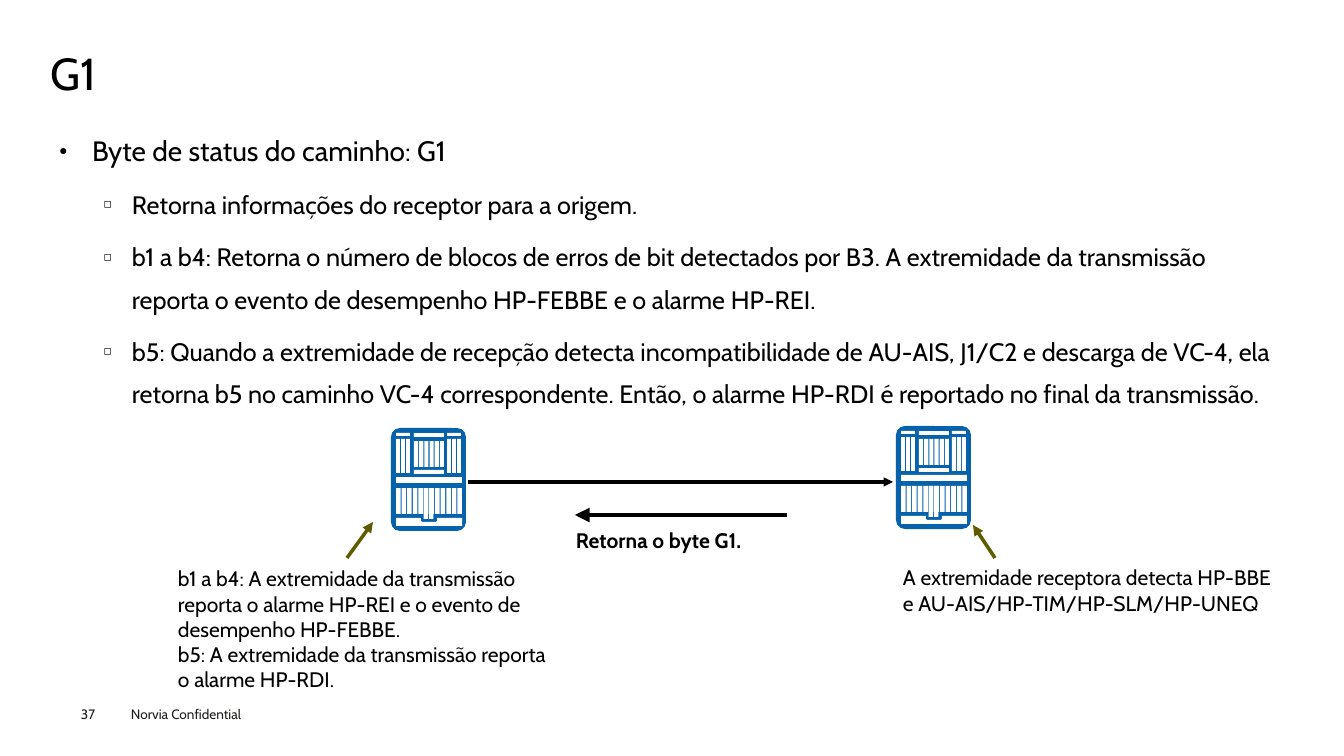
from lxml.etree import SubElement
from pptx import Presentation
from pptx.dml.color import RGBColor
from pptx.enum.shapes import MSO_CONNECTOR as Connector, MSO_SHAPE as Shape
from pptx.enum.text import MSO_ANCHOR as Anchor, MSO_AUTO_SIZE as AutoSize, PP_ALIGN as Align
from pptx.oxml.ns import qn
from pptx.util import Pt

BLACK = RGBColor(0x00, 0x00, 0x00)
GREY = RGBColor(0x1D, 0x1D, 0x1B)
WHITE = RGBColor(0xFF, 0xFF, 0xFF)
BLUE = RGBColor(0x06, 0x62, 0xAA)
OLIVE = RGBColor(0x5E, 0x5C, 0x00)

FONT = "Cabin"
PX = 914400 / 100.8
SLIDE_SIZE = (1344, 756)

TITLE = "G1"
TITLE_BOX = (50, 49, 1245, 54)
BODY_BOX = (50, 116, 1245, 537)
BODY = [
    (0, "Byte de status do caminho: G1"),
    (1, "Retorna informações do receptor para a origem."),
    (1, "b1 a b4: Retorna o número de blocos de erros de bit detectados por B3. "
        "A extremidade da transmissão reporta o evento de desempenho HP-FEBBE e o alarme HP-REI."),
    (1, "b5: Quando a extremidade de recepção detecta incompatibilidade de AU-AIS, J1/C2 e "
        "descarga de VC-4, ela retorna b5 no caminho VC-4 correspondente. Então, o alarme "
        "HP-RDI é reportado no final da transmissão."),
]
# level: text size, left margin px, hanging px, space before, bullet, alignment
LEVELS = {
    0: (20, 33, 33, 0, "●", Align.JUSTIFY),
    1: (18, 73, 28, 7.2, "◻", Align.LEFT),
}

NOTE = {"size": Pt(15), "name": FONT}
SMALL = {"size": Pt(9.7), "name": FONT}
LABELS = [  # box, paragraphs, font, colour, inset px (left/right, top/bottom)
    ((121, 701, 161, 27), ["Norvia Confidential"], SMALL, GREY, (10, 5)),
    ((81, 706, 55, 16), ["37"], SMALL, GREY, (0, 0)),
    ((168, 561, 398, 86),
     ["b1 a b4: A extremidade da transmissão reporta o alarme HP-REI e o evento de "
      "desempenho HP-FEBBE.",
      "b5: A extremidade da transmissão reporta o alarme HP-RDI."], NOTE, BLACK, (10, 5)),
    ((893, 560, 402, 86),
     ["A extremidade receptora detecta HP-BBE e AU-AIS/HP-TIM/HP-SLM/HP-UNEQ"],
     NOTE, BLACK, (10, 5)),
    ((566, 523, 249, 35), ["Retorna o byte G1."], {**NOTE, "bold": True}, BLACK, (10, 5)),
]
ARROWS = [  # from, to, colour, width
    ((347, 558), (373, 522), OLIVE, 2.5),
    ((995, 558), (973, 525), OLIVE, 2.5),
    ((787, 515), (575, 515), BLACK, 3.5),
    ((468, 482), (893, 482), BLACK, 2.25),
]

# Network node, in px from its own top left corner
NODES = [(391, 428), (896, 426)]
NODE_SIZE = (75, 103)
NODE_BARS = [(5, 5, 14, 3), (23, 5, 30, 4), (56, 5, 14, 3), (23, 42, 30, 4), (5, 49, 66, 6)]
SLAT_ROWS = [  # left, top, width, height, number of slats
    (5, 11, 14, 34, 3),
    (23, 13, 30, 26, 6),
    (56, 11, 14, 34, 3),
    (5, 60, 66, 26, 12),
]
SLAT_GAP = 1
LONG_SLATS = (27, 60, 21, 31, 4)
NODE_FOOT = [(5, 90), (30, 90), (30, 93), (31, 94), (45, 94), (46, 93), (46, 90),
             (71, 90), (71, 98), (5, 98)]


def emu(*lengths):
    return [round(length * PX) for length in lengths]


def place(shape, box):
    shape.left, shape.top, shape.width, shape.height = emu(*box)


def write(para, text, font, color):
    span = para.add_run()
    span.text = text
    for key, value in font.items():
        setattr(span.font, key, value)
    span.font.color.rgb = color


def set_frame(frame, inset, **values):
    side, edge = emu(*inset)
    formats = {"margin_left": side, "margin_right": side, "margin_top": edge,
               "margin_bottom": edge, "word_wrap": True, **values}
    for key, value in formats.items():
        setattr(frame, key, value)


def paragraphs(frame, count):
    return [frame.paragraphs[0]] + [frame.add_paragraph() for _ in range(count - 1)]


def fill_title(title):
    place(title, TITLE_BOX)
    set_frame(title.text_frame, (0, 0), auto_size=AutoSize.NONE, vertical_anchor=Anchor.MIDDLE)
    para = title.text_frame.paragraphs[0]
    para.alignment, para.line_spacing = Align.LEFT, 0.9
    write(para, TITLE, {"size": Pt(32), "name": FONT}, BLACK)


def fill_body(body):
    place(body, BODY_BOX)
    frame = body.text_frame
    set_frame(frame, (9, 4), auto_size=AutoSize.NONE, vertical_anchor=Anchor.TOP)
    for para, (level, text) in zip(paragraphs(frame, len(BODY)), BODY):
        size, margin, hanging, before, bullet, align = LEVELS[level]
        properties = para._p.get_or_add_pPr()
        left, indent = emu(margin, -hanging)
        properties.set("marL", str(left))
        properties.set("indent", str(indent))
        SubElement(properties, qn("a:buSzPct")).set("val", "50000")
        SubElement(properties, qn("a:buFont")).set("typeface", "Arial")
        SubElement(properties, qn("a:buChar")).set("char", bullet)
        para.level, para.alignment = level, align
        para.line_spacing, para.space_before = 1.4, Pt(before)
        write(para, text, {"size": Pt(size), "name": FONT}, BLACK)


def add_label(shapes, box, texts, font, color, inset):
    frame = shapes.add_textbox(*emu(*box)).text_frame
    set_frame(frame, inset)
    for para, text in zip(paragraphs(frame, len(texts)), texts):
        write(para, text, font, color)


def add_arrow(shapes, start, end, color, width):
    arrow = shapes.add_connector(Connector.STRAIGHT, *emu(*start, *end))
    arrow.line.color.rgb = color
    arrow.line.width = Pt(width)
    properties = arrow._element.spPr
    SubElement(properties.find(qn("a:ln")), qn("a:tailEnd")).set("type", "triangle")
    SubElement(properties, qn("a:effectLst"))


def paint(shape, color):
    shape.shadow.inherit = False
    shape.fill.solid()
    shape.fill.fore_color.rgb = color
    shape.line.fill.background()


def slats(left, top, width, height, count):
    """Split a row into equal boxes with SLAT_GAP between them."""
    pitch = (width + SLAT_GAP) / count
    return [(left + i * pitch, top, pitch - SLAT_GAP, height) for i in range(count)]


def add_node(shapes, left, top):
    node = shapes.add_group_shape().shapes
    cabinet = node.add_shape(Shape.ROUNDED_RECTANGLE, *emu(left, top, *NODE_SIZE))
    cabinet.adjustments[0] = 0.12
    paint(cabinet, BLUE)
    boxes = NODE_BARS + [box for row in SLAT_ROWS for box in slats(*row)]
    # the two middle slats of the lower row reach down to the notch
    pitch = LONG_SLATS[2] / LONG_SLATS[4]
    boxes += [box for box in slats(*LONG_SLATS)[1:3]] if pitch else []
    for x, y, width, height in boxes:
        paint(node.add_shape(Shape.RECTANGLE, *emu(left + x, top + y, width, height)), WHITE)
    corners = [(left + x, top + y) for x, y in NODE_FOOT]
    outline = node.build_freeform(*corners[0], scale=PX)
    outline.add_line_segments(corners[1:], close=True)
    paint(outline.convert_to_shape(), WHITE)


def main():
    deck = Presentation()
    deck.slide_width, deck.slide_height = emu(*SLIDE_SIZE)
    page = deck.slides.add_slide(deck.slide_layouts[1])
    fill_title(page.shapes.title)
    fill_body(page.placeholders[1])
    for arrow in ARROWS:
        add_arrow(page.shapes, *arrow)
    for label in LABELS:
        add_label(page.shapes, *label)
    for corner in NODES:
        add_node(page.shapes, *corner)
    deck.save("out.pptx")


if __name__ == "__main__":
    main()
